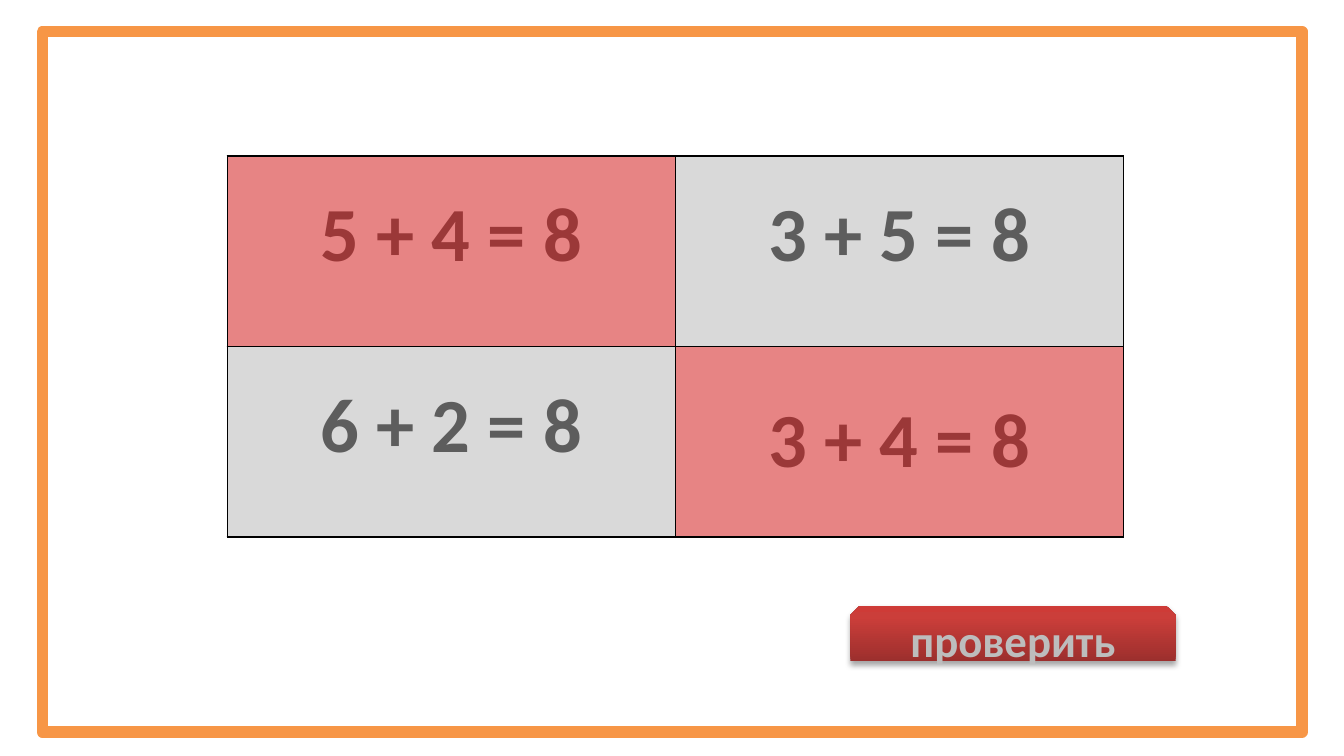
from lxml import etree
from pptx import Presentation
from pptx.dml.color import RGBColor
from pptx.enum import shapes, text
from pptx.oxml import parse_xml
from pptx.util import Cm, Pt

SUMS = [["5 + 4 = 8", "3 + 5 = 8"], ["6 + 2 = 8", "3 + 4 = 8"]]
WRONG = [(0, 0), (1, 1)]
LOW = [(0, 0), (0, 1), (1, 0)]
BUTTON_TEXT = "проверить"
GRID = (4.3, 2.95, 16.93, 7.2)
FRAME = (0.8, 0.6, 23.81, 13.24)
BUTTON = (16.07, 11.46, 6.15, 1.04)
LABEL = (16.67, 11.46, 4.95, 1.27)
STOPS = [(0, "9C2F2D"), (80, "CB3E3A"), (100, "CE3B37")]
SUM_FONT = dict(size=Pt(41), name="Calibri", bold=True)
LABEL_FONT = dict(size=Pt(24), name="Calibri", bold=True)
NS = 'xmlns:a="http://schemas.openxmlformats.org/drawingml/2006/main"'


def rgb(h):
    return RGBColor.from_string(h)


def box(b):
    return [Cm(v) for v in b]


def write(tf, words, font, color):
    p = tf.paragraphs[0]
    p.alignment = text.PP_ALIGN.CENTER
    r = p.add_run()
    r.text = words
    for k, v in font.items():
        setattr(r.font, k, v)
    r.font.color.rgb = rgb(color)


def solid(fill, color):
    fill.solid()
    fill.fore_color.rgb = rgb(color)


def borders(cell):
    tcPr = cell._tc.get_or_add_tcPr()
    for i, side in enumerate("LRTB"):
        tcPr.insert(i, parse_xml(
            f'<a:ln{side} {NS} w="12700"><a:solidFill><a:srgbClr val="000000"/>'
            f'</a:solidFill></a:ln{side}>'))


def grid(s):
    tbl = s.shapes.add_table(2, 2, *box(GRID)).table
    tbl.first_row = tbl.horz_banding = False
    cells = {(r, c): tbl.cell(r, c) for r in range(2) for c in range(2)}
    for cell in cells.values():
        cell.fill.background()
        borders(cell)
    return cells


prs = Presentation()
prs.slide_width, prs.slide_height = Cm(25.4), Cm(14.29)
s = prs.slides.add_slide(prs.slide_layouts[6])

frame = s.shapes.add_shape(shapes.MSO_SHAPE.RECTANGLE, *box(FRAME))
frame.shadow.inherit = False
solid(frame.fill, "FFFFFF")
frame.line.color.rgb = rgb("F79646")
frame.line.width = Pt(6)

for (r, c), cell in grid(s).items():
    solid(cell.fill, "D9D9D9")
    cell.vertical_anchor = text.MSO_ANCHOR.MIDDLE
    cell.margin_bottom = Cm(0.72 if (r, c) in LOW else 0.13)
    write(cell.text_frame, SUMS[r][c], SUM_FONT, "5D5D5D")

marks = grid(s)
for pos in WRONG:
    solid(marks[pos].fill, "FF0000")
    clr = marks[pos]._tc.tcPr.find("{*}solidFill/{*}srgbClr")
    etree.SubElement(clr, clr.tag.replace("srgbClr", "alpha"), val="39000")

button = s.shapes.add_shape(shapes.MSO_SHAPE.SNIP_2_SAME_RECTANGLE, *box(BUTTON))
button.line.fill.background()
button.shadow.inherit = False
spPr = button._element.spPr
stops = "".join(f'<a:gs pos="{p * 1000}"><a:srgbClr val="{c}"/></a:gs>' for p, c in STOPS)
spPr.find("{*}prstGeom").addnext(parse_xml(
    f'<a:gradFill {NS} rotWithShape="1"><a:gsLst>{stops}</a:gsLst>'
    '<a:lin ang="16200000" scaled="0"/></a:gradFill>'))
spPr.find("{*}effectLst").append(parse_xml(
    f'<a:outerShdw {NS} blurRad="{Pt(3.1)}" dist="{Pt(1.8)}" dir="5400000" rotWithShape="0">'
    '<a:srgbClr val="000000"><a:alpha val="35000"/></a:srgbClr></a:outerShdw>'))

label = s.shapes.add_textbox(*box(LABEL))
label.text_frame.word_wrap = True
write(label.text_frame, BUTTON_TEXT, LABEL_FONT, "BDBDBD")

prs.save("out.pptx")
